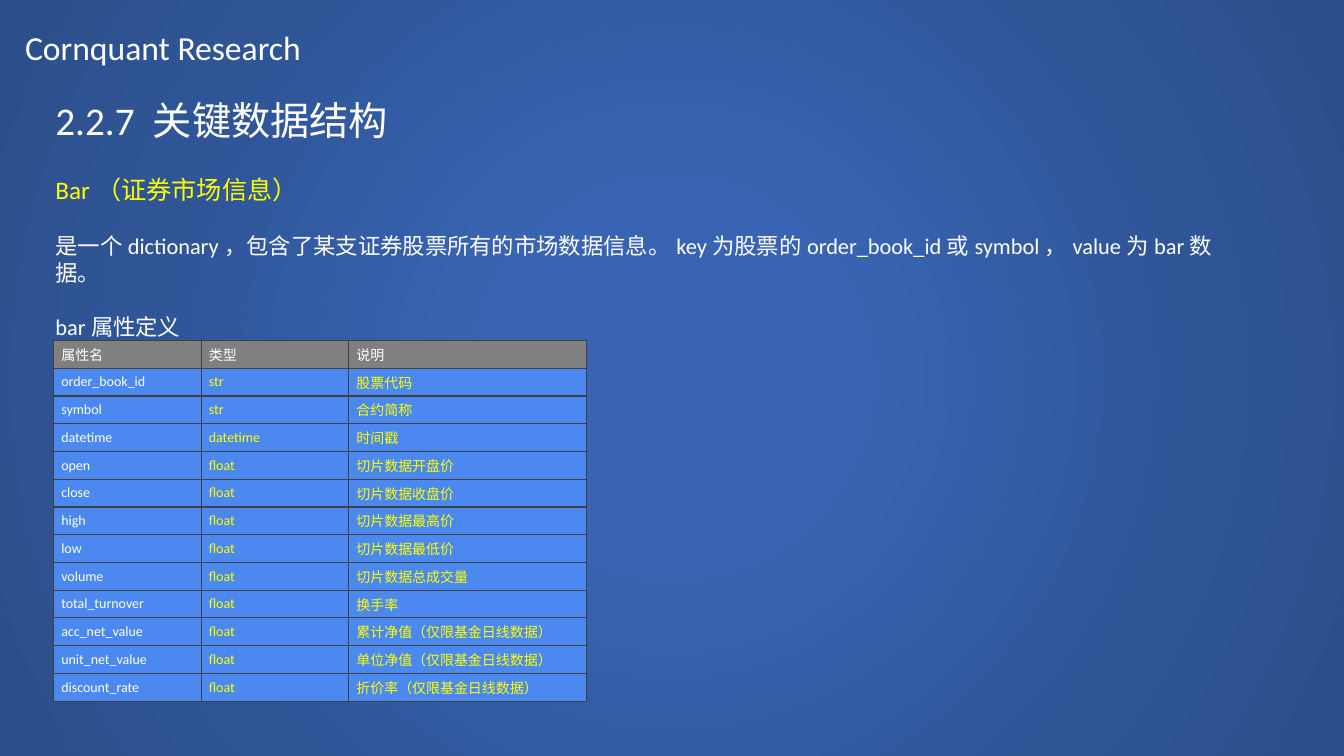
"""Build the slide on the Bar data structure with its table of attributes."""
from lxml import etree
from pptx import Presentation
from pptx.dml.color import RGBColor
from pptx.enum import shapes, text
from pptx.oxml import ns
from pptx.util import Pt

WHITE, YELLOW, GREY, BLUE, BORDER = "FFFFFF", "FFFF00", "808080", "4B89F0", "404040"
SLIDE_SIZE = (960, 540)
GLOW = [(0, "3864B3"), (23, "3864B3"), (69, "2F5597"), (97, "2C4F8C")]

HEADER = [("Cornquant Research", 24, WHITE, 0)]
TITLE = [("2.2.7 关键数据结构", 28, WHITE, 0)]
BODY = [
    ("Bar（证券市场信息）", 18, YELLOW, 0),
    ("是一个dictionary，包含了某支证券股票所有的市场数据信息。"
     "key为股票的order_book_id或symbol，value为bar数据。", 16, WHITE, 19.5),
    ("bar属性定义", 16, WHITE, 19.5),
]
ATTRIBUTES = [
    ("属性名", "类型", "说明"),
    ("order_book_id", "str", "股票代码"),
    ("symbol", "str", "合约简称"),
    ("datetime", "datetime", "时间戳"),
    ("open", "float", "切片数据开盘价"),
    ("close", "float", "切片数据收盘价"),
    ("high", "float", "切片数据最高价"),
    ("low", "float", "切片数据最低价"),
    ("volume", "float", "切片数据总成交量"),
    ("total_turnover", "float", "换手率"),
    ("acc_net_value", "float", "累计净值（仅限基金日线数据）"),
    ("unit_net_value", "float", "单位净值（仅限基金日线数据）"),
    ("discount_rate", "float", "折价率（仅限基金日线数据）"),
]
COLUMN_WIDTHS = (105.4, 105.4, 170)
ROW_HEIGHT = 17.4
TABLE_ORIGIN = (38.4, 243.2)
HEADER_BOX = (10.8, 15.8, 363, 36)
TITLE_BOX = (32.4, 65.5, 847.4, 43)
BODY_BOX = (32.4, 121, 847.4, 122)
CELL_FORMAT = {"margin_left": Pt(5.4), "margin_right": Pt(5.4), "margin_top": Pt(2.7),
               "margin_bottom": Pt(2.7), "vertical_anchor": text.MSO_ANCHOR.MIDDLE}
FRAME_FORMAT = {"word_wrap": True, "auto_size": text.MSO_AUTO_SIZE.NONE,
                "vertical_anchor": text.MSO_ANCHOR.TOP}


def color(value):
    return RGBColor.from_string(value)


def apply(target, formats):
    for name, value in formats.items():
        setattr(target, name, value)


def set_font(paragraph, size, value):
    apply(paragraph.font, {"size": Pt(size), "name": "Calibri", "bold": False})
    paragraph.font.color.rgb = color(value)


def fill_text(shape, box, lines):
    apply(shape, dict(zip(("left", "top", "width", "height"), map(Pt, box))))
    frame = shape.text_frame
    apply(frame, FRAME_FORMAT)
    for index, (words, size, value, gap) in enumerate(lines):
        paragraph = frame.add_paragraph() if index else frame.paragraphs[0]
        paragraph.text = words
        apply(paragraph, {"alignment": text.PP_ALIGN.LEFT, "space_before": Pt(gap)})
        properties = paragraph._p.get_or_add_pPr()
        properties.set("marL", "0")
        properties.set("indent", "0")
        etree.SubElement(properties, ns.qn("a:buNone"))
        set_font(paragraph, size, value)


def add_backdrop(slide):
    backdrop = slide.shapes.add_shape(shapes.MSO_SHAPE.RECTANGLE, 0, 0, *map(Pt, SLIDE_SIZE))
    backdrop.shadow.inherit = False
    backdrop.line.fill.background()
    backdrop.fill.gradient()
    gradient = backdrop._element.spPr.find(ns.qn("a:gradFill"))
    for child in list(gradient):
        gradient.remove(child)
    stops = etree.SubElement(gradient, ns.qn("a:gsLst"))
    for position, value in GLOW:
        stop = etree.SubElement(stops, ns.qn("a:gs"), pos=str(position * 1000))
        etree.SubElement(stop, ns.qn("a:srgbClr"), val=value)
    circle = etree.SubElement(gradient, ns.qn("a:path"), path="circle")
    etree.SubElement(circle, ns.qn("a:fillToRect"), dict.fromkeys("ltrb", "50000"))
    slide.shapes._spTree.insert(2, backdrop._element)


def add_borders(cell):
    properties = cell._tc.get_or_add_tcPr()
    for side in ("lnL", "lnR", "lnT", "lnB"):
        line = etree.SubElement(properties, ns.qn(f"a:{side}"), w=str(Pt(1)))
        fill = etree.SubElement(line, ns.qn("a:solidFill"))
        etree.SubElement(fill, ns.qn("a:srgbClr"), val=BORDER)


def add_attribute_table(slide):
    size = (sum(COLUMN_WIDTHS), ROW_HEIGHT * len(ATTRIBUTES))
    table = slide.shapes.add_table(len(ATTRIBUTES), len(COLUMN_WIDTHS),
                                   *map(Pt, TABLE_ORIGIN + size)).table
    for column, width in zip(table.columns, COLUMN_WIDTHS):
        column.width = Pt(width)
    for row_index, values in enumerate(ATTRIBUTES):
        table.rows[row_index].height = Pt(ROW_HEIGHT)
        for column_index, words in enumerate(values):
            cell = table.cell(row_index, column_index)
            cell.text = words
            apply(cell, CELL_FORMAT)
            add_borders(cell)
            cell.fill.solid()
            cell.fill.fore_color.rgb = color(BLUE if row_index else GREY)
            set_font(cell.text_frame.paragraphs[0], 10,
                     YELLOW if row_index and column_index else WHITE)


def main():
    presentation = Presentation()
    apply(presentation, dict(zip(("slide_width", "slide_height"), map(Pt, SLIDE_SIZE))))
    slide = presentation.slides.add_slide(presentation.slide_layouts[1])
    add_backdrop(slide)
    fill_text(slide.shapes.title, TITLE_BOX, TITLE)
    fill_text(slide.placeholders[1], BODY_BOX, BODY)
    fill_text(slide.shapes.add_textbox(*map(Pt, HEADER_BOX)), HEADER_BOX, HEADER)
    add_attribute_table(slide)
    presentation.save("out.pptx")


if __name__ == "__main__":
    main()
